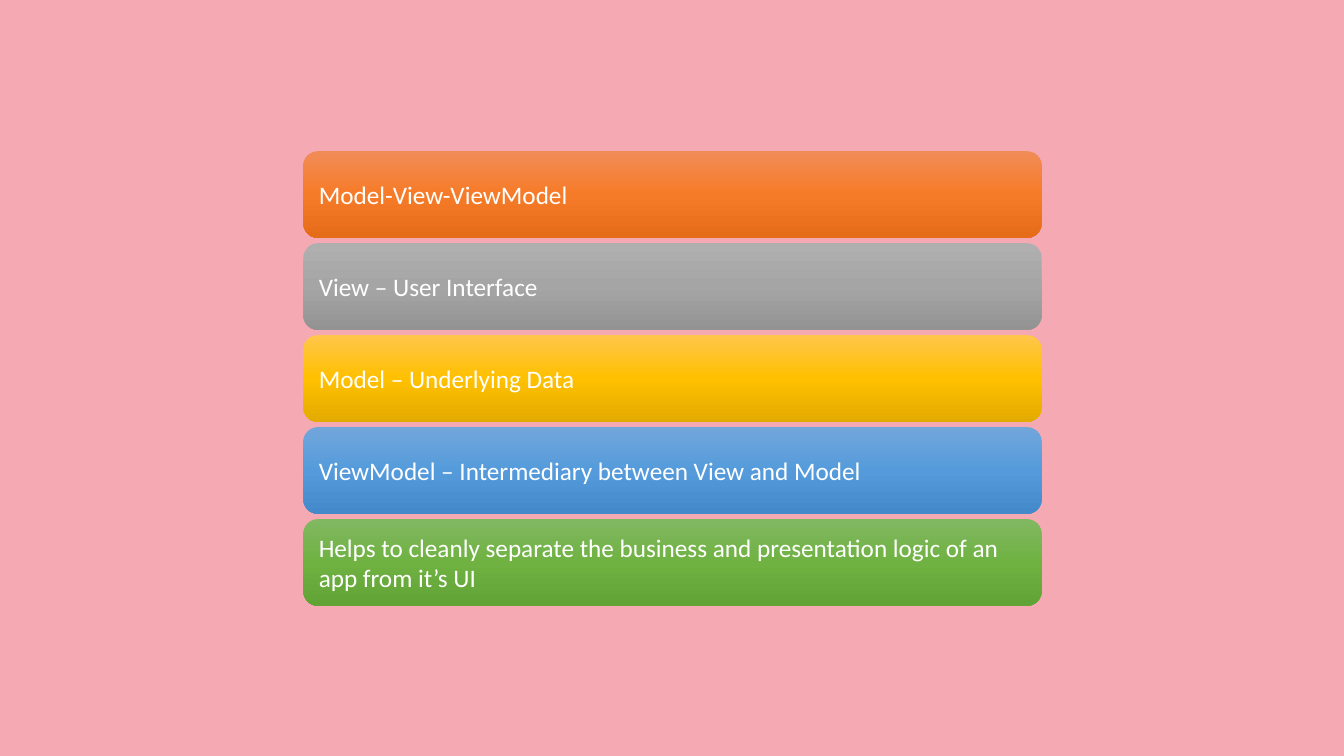
from copy import deepcopy

from pptx import Presentation
from pptx.dml.color import RGBColor
from pptx.enum.shapes import MSO_SHAPE
from pptx.enum.text import MSO_ANCHOR, PP_ALIGN
from pptx.oxml.ns import qn
from pptx.util import Inches, Pt

PINK = RGBColor(0xF5, 0xA9, 0xB3)
WHITE = RGBColor(0xFF, 0xFF, 0xFF)
# Gradient colours from top to bottom
ORANGE = [RGBColor(0xF1, 0x8C, 0x57), RGBColor(0xF6, 0x7B, 0x28), RGBColor(0xE5, 0x6C, 0x19)]
GREY = [RGBColor(0xAF, 0xAF, 0xAF), RGBColor(0xA5, 0xA5, 0xA5), RGBColor(0x93, 0x93, 0x93)]
GOLD = [RGBColor(0xFF, 0xC6, 0x4B), RGBColor(0xFF, 0xC0, 0x00), RGBColor(0xE3, 0xAB, 0x00)]
BLUE = [RGBColor(0x71, 0xA6, 0xDB), RGBColor(0x55, 0x9B, 0xDB), RGBColor(0x44, 0x8A, 0xCA)]
GREEN = [RGBColor(0x81, 0xB8, 0x61), RGBColor(0x6F, 0xB2, 0x42), RGBColor(0x62, 0xA3, 0x36)]

BARS = [
    ("Model-View-ViewModel", ORANGE),
    ("View – User Interface", GREY),
    ("Model – Underlying Data", GOLD),
    ("ViewModel – Intermediary between View and Model", BLUE),
    ("Helps to cleanly separate the business and presentation logic of an app from it’s UI", GREEN),
]
LEFT, WIDTH, HEIGHT = 3.01, 7.32, 0.86
FIRST_TOP, LAST_TOP = 1.5, 5.15
PITCH = (LAST_TOP - FIRST_TOP) / (len(BARS) - 1)

FRAME_FORMAT = {
    "word_wrap": True,
    "vertical_anchor": MSO_ANCHOR.MIDDLE,
    "margin_left": Inches(0.11),
    "margin_right": Inches(0.11),
    "margin_top": Inches(0.11),
    "margin_bottom": Inches(0.11),
}
FONT_FORMAT = {"name": "Calibri", "size": Pt(18)}

presentation = Presentation()
presentation.slide_width = Inches(13.33)
presentation.slide_height = Inches(7.5)
slide = presentation.slides.add_slide(presentation.slide_layouts[6])

# Background
slide.background.fill.solid()
slide.background.fill.fore_color.rgb = PINK

# Stack of bars
for index, (text, colours) in enumerate(BARS):
    shape = slide.shapes.add_shape(
        MSO_SHAPE.ROUNDED_RECTANGLE,
        Inches(LEFT), Inches(FIRST_TOP + index * PITCH), Inches(WIDTH), Inches(HEIGHT),
    )
    shape.shadow.inherit = False
    shape.line.fill.background()

    # Three-stop gradient, running downwards
    shape.fill.gradient()
    shape.fill.gradient_angle = 270
    stop_list = shape._element.spPr.find(qn("a:gradFill")).find(qn("a:gsLst"))
    stop_list.insert(1, deepcopy(stop_list[0]))
    for stop, position, colour in zip(shape.fill.gradient_stops, (0, 0.5, 1), colours):
        stop.position = position
        stop.color.rgb = colour

    # Label
    frame = shape.text_frame
    for name, value in FRAME_FORMAT.items():
        setattr(frame, name, value)
    paragraph = frame.paragraphs[0]
    paragraph.alignment = PP_ALIGN.LEFT
    run = paragraph.add_run()
    run.text = text
    for name, value in FONT_FORMAT.items():
        setattr(run.font, name, value)
    run.font.color.rgb = WHITE

presentation.save("out.pptx")
